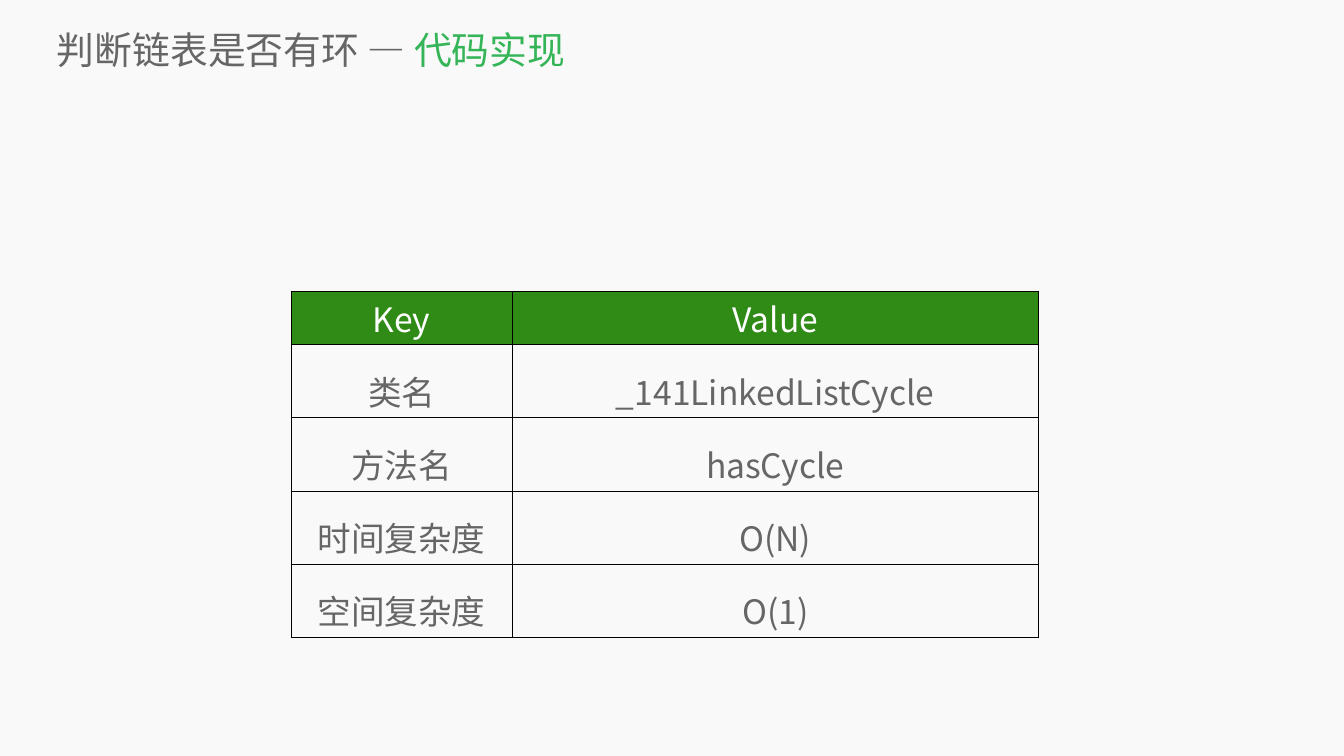
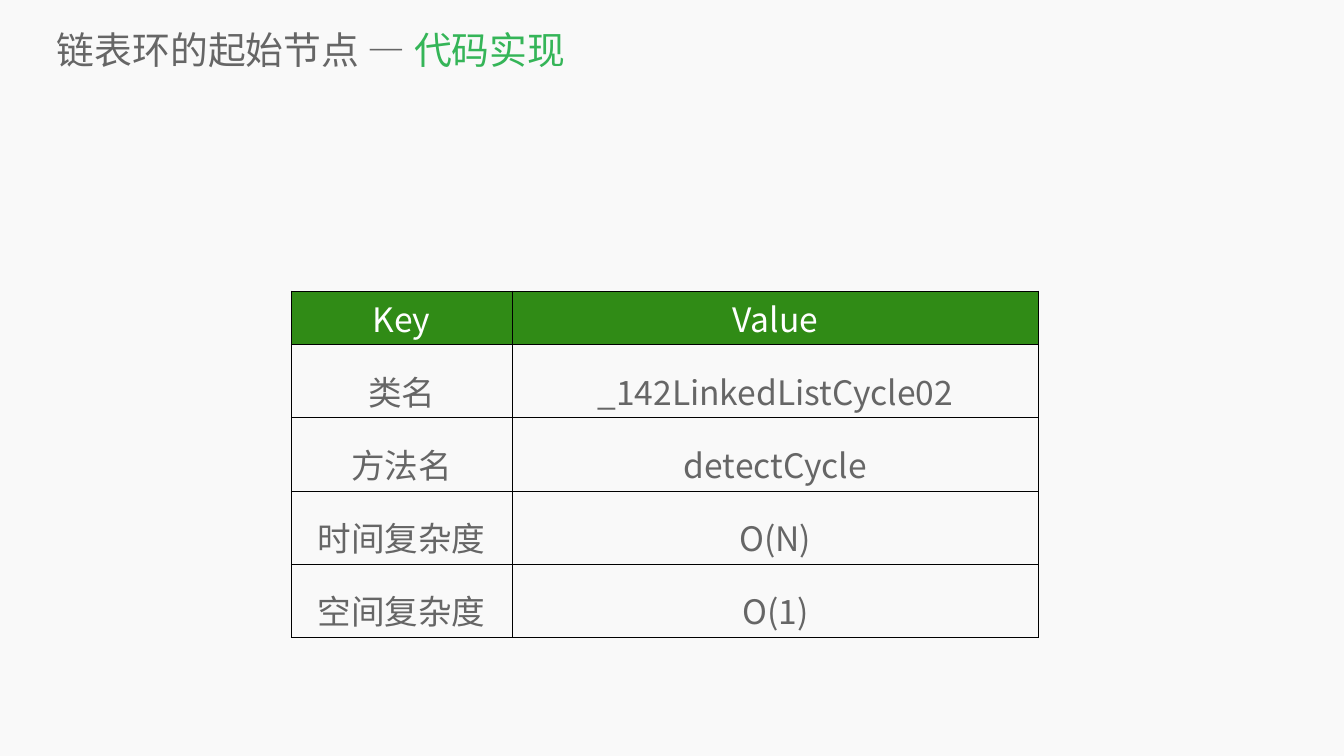
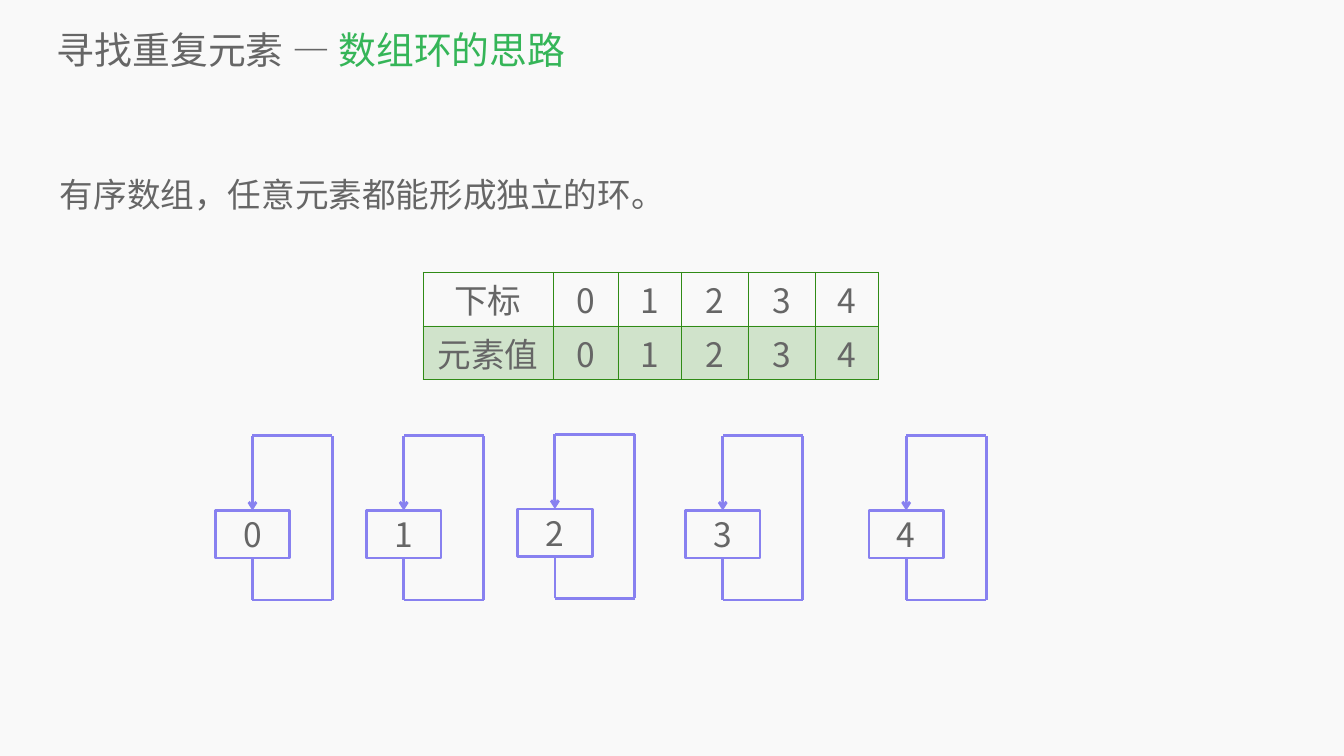
"""Build three slides about cycles in linked lists and arrays."""
from lxml.etree import SubElement
from pptx import Presentation
from pptx.dml.color import RGBColor
from pptx.enum.shapes import MSO_CONNECTOR as Connector, MSO_SHAPE as Preset
from pptx.enum.text import MSO_ANCHOR as Anchor, MSO_AUTO_SIZE as AutoSize, PP_ALIGN as Align
from pptx.oxml.ns import qn
from pptx.util import Pt

CODE_SLIDES = [
    ("判断链表是否有环", "_141LinkedListCycle", "hasCycle"),
    ("链表环的起始节点", "_142LinkedListCycle02", "detectCycle"),
]
CODE_ACCENT = "代码实现"
ARRAY_TITLE = ("寻找重复元素", "数组环的思路")
ARRAY_STATEMENT = "有序数组，任意元素都能形成独立的环。"
ELEMENTS = ["0", "1", "2", "3", "4"]
ARRAY_ROWS = [["下标", *ELEMENTS], ["元素值", *ELEMENTS]]

FONT = "Noto Sans CJK SC"
BACKGROUND = RGBColor(0xF9, 0xF9, 0xF9)
GRAY = RGBColor(0x66, 0x66, 0x66)
ACCENT = RGBColor(0x35, 0xB5, 0x58)
GREEN = RGBColor(0x30, 0x8B, 0x16)
WHITE = RGBColor(0xFF, 0xFF, 0xFF)
BLACK = RGBColor(0x00, 0x00, 0x00)
PURPLE = RGBColor(0x88, 0x81, 0xF0)

TITLE_BOX = (81.4, 33.8, 1811.5, 73.4)
STATEMENT_BOX = (85.7, 226, 1748, 809)
CODE_TABLE_BOX = (416, 415.5, 1068, 416)
CODE_COLUMNS = [315.4, 752.4]
CODE_ROWS = [61.2] + [59.8] * 4
ARRAY_TABLE_BOX = (604, 388.8, 650, 130.3)
ARRAY_COLUMNS = [185.8, 92.9, 90.7, 95, 95.8, 90]
ARRAY_HEIGHTS = [65.5, 62.6]
LOOP_ORIGINS = [(307.4, 729.4), (523.4, 729.4), (739.4, 727.2), (979.2, 729.4), (1241.3, 729.4)]
NODE_WIDTH, NODE_HEIGHT = 106.6, 67.7
LOOP_RIGHT, LOOP_RISE, LOOP_DROP = 167.6, 106.8, 127.6


def write(paragraph, text, size=48, color=GRAY, align=Align.CENTER, spacing=None):
    """Add a formatted run to a paragraph."""
    paragraph.alignment = align
    paragraph.space_before = Pt(0)
    if spacing:
        paragraph.line_spacing = spacing
    run = paragraph.add_run()
    run.text = text
    run.font.size = Pt(size)
    run.font.color.rgb = color
    run.font.name = FONT
    SubElement(run.font._element, qn("a:ea"), typeface=FONT)


def place(shape, box, anchor):
    """Move a placeholder and return its first paragraph."""
    shape.left, shape.top, shape.width, shape.height = map(Pt, box)
    frame = shape.text_frame
    frame.margin_left = frame.margin_top = frame.margin_right = frame.margin_bottom = 0
    frame.auto_size = AutoSize.NONE
    frame.vertical_anchor = anchor
    return frame.paragraphs[0]


def add_slide(presentation, title, accent, statement=None):
    """Add a slide with a two-colour title and an optional statement."""
    slide = presentation.slides.add_slide(presentation.slide_layouts[0])
    heading = place(slide.shapes.title, TITLE_BOX, Anchor.MIDDLE)
    write(heading, f"{title} — ", size=54, align=Align.LEFT)
    write(heading, accent, size=54, color=ACCENT, align=Align.LEFT)
    body = slide.placeholders[1]
    if statement:
        write(place(body, STATEMENT_BOX, Anchor.TOP), statement, align=Align.LEFT, spacing=1.4)
    else:
        body._element.getparent().remove(body._element)
    return slide


def set_borders(cell, color):
    """Draw a one-point border on every side of a cell."""
    properties = cell._tc.get_or_add_tcPr()
    for side in ("a:lnL", "a:lnR", "a:lnT", "a:lnB"):
        line = SubElement(properties, qn(side), w=str(Pt(1)))
        fill = SubElement(line, qn("a:solidFill"))
        SubElement(fill, qn("a:srgbClr"), val=str(color))


def set_fill(cell, color, opacity):
    """Fill a cell, or leave it clear when no colour is given."""
    if color is None:
        cell.fill.background()
        return
    cell.fill.solid()
    cell.fill.fore_color.rgb = color
    if opacity < 100:
        value = cell._tc.tcPr.find(f"{qn('a:solidFill')}/{qn('a:srgbClr')}")
        SubElement(value, qn("a:alpha"), val=str(opacity * 1000))


def add_table(slide, rows, box, widths, heights, border, styles):
    """Add a table; each row style holds fill, opacity and text format."""
    table = slide.shapes.add_table(len(rows), len(widths), *map(Pt, box)).table
    table.first_row = table.horz_banding = False
    for column, width in zip(table.columns, widths):
        column.width = Pt(width)
    for row, height, texts, (fill, opacity, text_format) in zip(table.rows, heights, rows, styles):
        row.height = Pt(height)
        for cell, text in zip(row.cells, texts):
            set_borders(cell, border)
            set_fill(cell, fill, opacity)
            write(cell.text_frame.paragraphs[0], text, **text_format)


def add_line(group, start, end, width=3.75):
    """Add a purple straight connector between two points."""
    line = group.shapes.add_connector(Connector.STRAIGHT, *map(Pt, (*start, *end)))
    line.line.color.rgb = PURPLE
    line.line.width = Pt(width)
    SubElement(line._element.spPr, qn("a:effectLst"))
    return line


def add_loop(slide, text, left, top):
    """Add a node whose arrow leads back to itself."""
    group = slide.shapes.add_group_shape()
    node = group.shapes.add_shape(Preset.RECTANGLE, *map(Pt, (left, top, NODE_WIDTH, NODE_HEIGHT)))
    node.shadow.inherit = False
    node.fill.background()
    node.line.color.rgb = PURPLE
    node.line.width = Pt(4)
    write(node.text_frame.paragraphs[0], text)

    middle, right = left + NODE_WIDTH / 2, left + LOOP_RIGHT
    upper, lower = top - LOOP_RISE, top + LOOP_DROP
    add_line(group, (right, lower), (right, upper), width=4)
    add_line(group, (right, upper), (middle, upper))
    arrow = add_line(group, (middle, upper), (middle, top), width=4)
    arrow.end_connect(node, 0)
    SubElement(arrow.line._get_or_add_ln(), qn("a:tailEnd"), type="arrow")
    add_line(group, (right, lower), (middle, lower))
    stem = add_line(group, (middle, lower), (middle, top + NODE_HEIGHT))
    stem.end_connect(node, 2)


def main():
    """Build and save the presentation."""
    presentation = Presentation()
    presentation.slide_width, presentation.slide_height = Pt(1920), Pt(1080)
    background = presentation.slide_master.background.fill
    background.solid()
    background.fore_color.rgb = BACKGROUND

    code_styles = [(GREEN, 100, {"color": WHITE})] + [(None, 100, {"spacing": 1.4})] * 4
    for title, class_name, method_name in CODE_SLIDES:
        slide = add_slide(presentation, title, CODE_ACCENT)
        rows = [("Key", "Value"), ("类名", class_name), ("方法名", method_name),
                ("时间复杂度", "O(N)"), ("空间复杂度", "O(1)")]
        add_table(slide, rows, CODE_TABLE_BOX, CODE_COLUMNS, CODE_ROWS, BLACK, code_styles)

    slide = add_slide(presentation, *ARRAY_TITLE, statement=ARRAY_STATEMENT)
    array_styles = [(None, 100, {}), (GREEN, 20, {})]
    add_table(slide, ARRAY_ROWS, ARRAY_TABLE_BOX, ARRAY_COLUMNS, ARRAY_HEIGHTS, GREEN, array_styles)
    for text, origin in zip(ELEMENTS, LOOP_ORIGINS):
        add_loop(slide, text, *origin)

    presentation.save("out.pptx")


if __name__ == "__main__":
    main()
